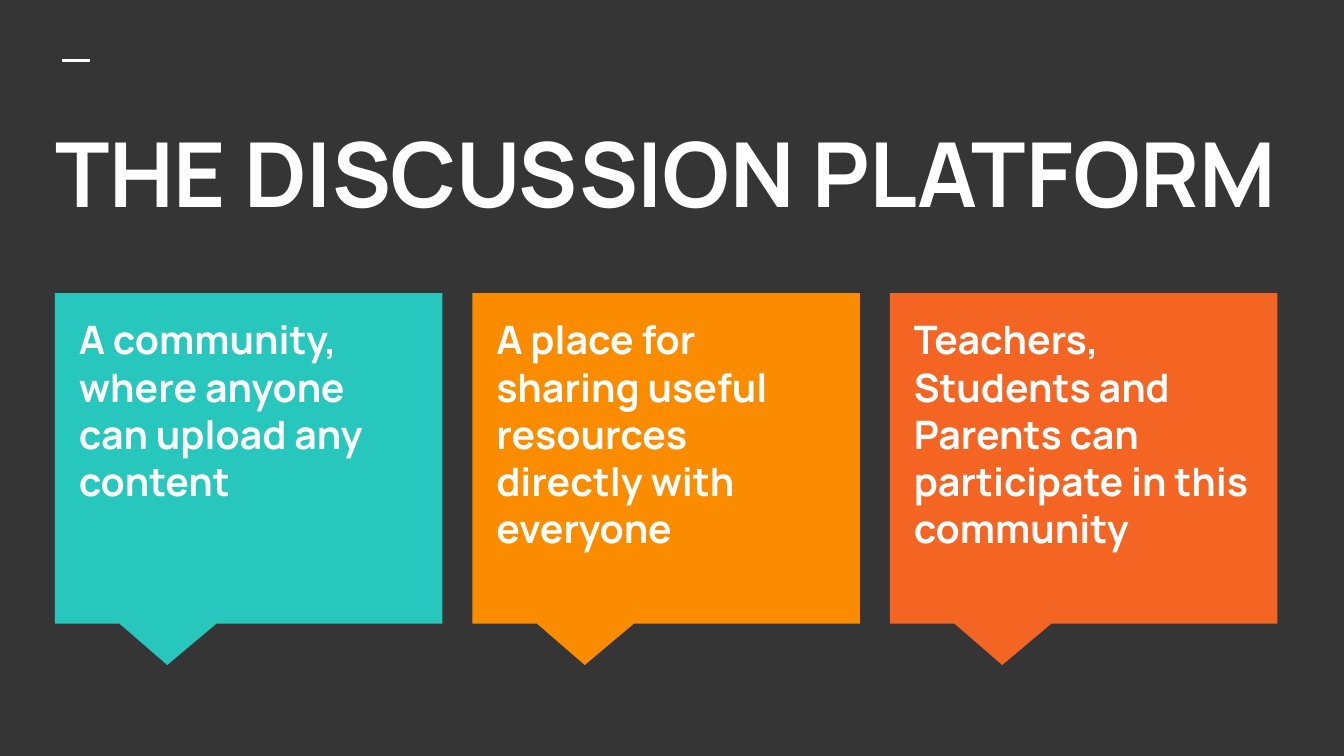
from dataclasses import dataclass

from lxml.etree import SubElement
from pptx import Presentation
from pptx.dml.color import RGBColor as RGB
from pptx.enum.shapes import MSO_CONNECTOR as CONNECTOR, MSO_SHAPE as SHAPE
from pptx.enum.text import MSO_ANCHOR as ANCHOR, MSO_AUTO_SIZE as AUTO_SIZE, PP_ALIGN as ALIGN
from pptx.oxml.ns import qn
from pptx.util import Cm, Pt


@dataclass(frozen=True)
class Theme:
    font: str = "Manrope"
    background: RGB = RGB.from_string("353535")
    text: RGB = RGB.from_string("FFFFFF")
    teal: RGB = RGB.from_string("27C7BD")
    amber: RGB = RGB.from_string("FB8C00")
    orange: RGB = RGB.from_string("F46524")
    title_size: Pt = Pt(48)
    card_size: Pt = Pt(21)


THEME = Theme()
CARD_LEFT, CARD_TOP, CARD_PITCH = 1.04, 5.54, 7.89
CARD_WIDTH, CARD_HEIGHT = 7.32, 6.25
CARDS = [
    ("A community, where anyone can upload any content", THEME.teal),
    ("A place for sharing useful resources directly with everyone", THEME.amber),
    ("Teachers, Students and Parents can participate in this community", THEME.orange),
]


def apply_format(target, values):
    for attribute, value in values.items():
        setattr(target, attribute, value)


def write_text(frame, wording, size):
    inset = Cm(0.25)
    apply_format(frame, {
        "text": wording,
        "word_wrap": True,
        "auto_size": AUTO_SIZE.NONE,
        "vertical_anchor": ANCHOR.TOP,
        "margin_left": inset,
        "margin_right": inset,
        "margin_top": inset,
        "margin_bottom": inset,
    })
    paragraph = frame.paragraphs[0]
    paragraph.alignment = ALIGN.LEFT
    font = paragraph.runs[0].font
    apply_format(font, {"name": THEME.font, "size": size, "bold": True})
    font.color.rgb = THEME.text


def add_title(slide, wording):
    title = slide.shapes.title
    apply_format(title, {
        "left": Cm(0.79), "top": Cm(1.98), "width": Cm(23.95), "height": Cm(2.84),
    })
    write_text(title.text_frame, wording, THEME.title_size)


def add_dash(slide):
    dash = slide.shapes.add_connector(
        CONNECTOR.STRAIGHT, Cm(1.18), Cm(1.14), Cm(1.7), Cm(1.14))
    dash.line.color.rgb = THEME.text
    dash.line.width = Pt(1.5)
    SubElement(dash._element.spPr, qn("a:effectLst"))


def add_card(slide, left, wording, color):
    callout = slide.shapes.add_shape(
        SHAPE.RECTANGULAR_CALLOUT, Cm(left), Cm(CARD_TOP), Cm(CARD_WIDTH), Cm(CARD_HEIGHT))
    callout.adjustments[0] = -0.21
    callout.adjustments[1] = 0.625
    callout.shadow.inherit = False
    callout.fill.solid()
    callout.fill.fore_color.rgb = color
    callout.line.fill.background()

    caption = slide.shapes.add_textbox(
        Cm(left + 0.2), Cm(CARD_TOP + 0.18), Cm(6.88), Cm(5.56))
    write_text(caption.text_frame, wording, THEME.card_size)


def main():
    deck = Presentation()
    deck.slide_width, deck.slide_height = Cm(25.4), Cm(14.29)
    slide = deck.slides.add_slide(deck.slide_layouts[5])
    slide.background.fill.solid()
    slide.background.fill.fore_color.rgb = THEME.background

    add_dash(slide)
    add_title(slide, "THE DISCUSSION PLATFORM")
    for column, (wording, color) in enumerate(CARDS):
        add_card(slide, CARD_LEFT + column * CARD_PITCH, wording, color)

    deck.save("out.pptx")


if __name__ == "__main__":
    main()
